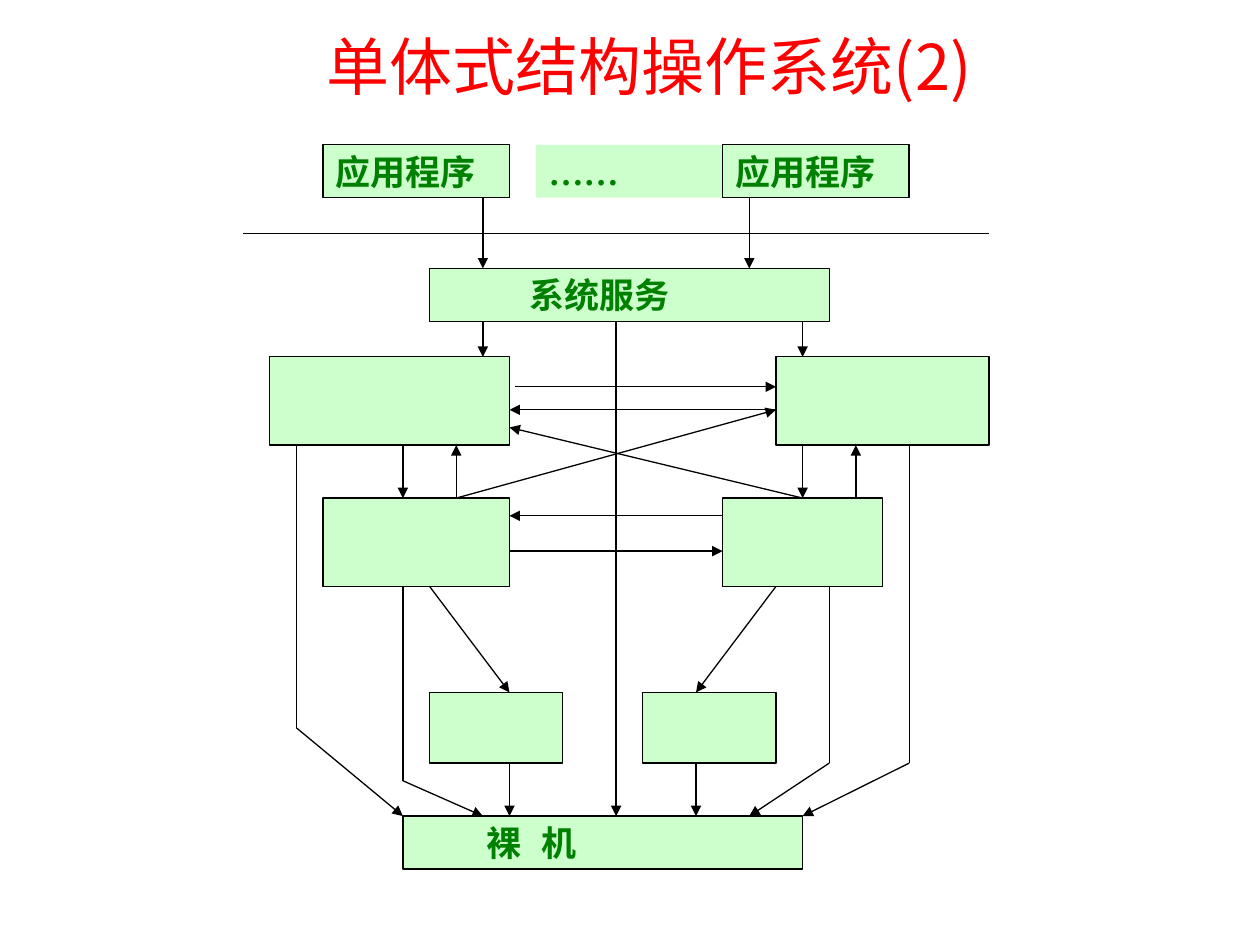
from itertools import pairwise

from lxml.etree import SubElement
from pptx import Presentation
from pptx.dml.color import RGBColor
from pptx.enum.shapes import MSO_CONNECTOR as Connector, MSO_SHAPE as Shape
from pptx.enum.text import MSO_ANCHOR as Anchor, PP_ALIGN as Align
from pptx.oxml.ns import qn
from pptx.util import Cm, Pt

LEFT, TOP = Cm(4.9), Cm(2.92)
COLUMN, ROW = Cm(15.04) / 28, Cm(14.6) / 41
INK, BOX_FILL, LABEL, HEADING = "000000", "CCFFCC", "008000", "FF0000"
TITLE_FONT = "Noto Sans CJK JP"
TITLE_FORMAT = {"name": TITLE_FONT, "size": Pt(36), "bold": False}
LABEL_FORMAT = {"name": "Times New Roman", "size": Pt(20), "bold": True}
FRAME_FORMAT = {
    "word_wrap": True,
    "vertical_anchor": Anchor.MIDDLE,
    "margin_left": Cm(0.25),
    "margin_right": Cm(0.25),
    "margin_top": Cm(0.13),
    "margin_bottom": Cm(0.13),
}

APPLICATIONS = [(3, 0, 7, 3, "应用程序"), (18, 0, 7, 3, "应用程序")]
MODULES = [
    (1, 12, 9, 5), (20, 12, 8, 5),
    (3, 20, 7, 5), (18, 20, 6, 5),
    (7, 31, 5, 4), (15, 31, 5, 4),
]
CALLS = [
    [(9, 3), (9, 7)], [(19, 3), (19, 7)],
    [(9, 10), (9, 12)], [(21, 10), (21, 12)], [(14, 10), (14, 38)],
    [(10.2, 13.7), (20, 13.7)], [(20, 15), (10, 15)],
    [(6, 17), (6, 20)], [(8, 20), (8, 17)],
    [(21, 17), (21, 20)], [(23, 20), (23, 17)],
    [(21, 20), (10, 16)], [(8, 20), (20, 15)],
    [(18, 21), (10, 21)], [(10, 23), (18, 23)],
    [(7, 25), (10, 31)], [(20, 25), (17, 31)],
    [(10, 35), (10, 38)], [(17, 35), (17, 38)],
    [(2, 17), (2, 33), (6, 38)], [(6, 25), (6, 36), (9, 38)],
    [(22, 25), (22, 35), (19, 38)], [(25, 17), (25, 35), (21, 38)],
]


def color(hex_value):
    """Turn a hex string into a colour."""
    return RGBColor.from_string(hex_value)


def position(column, row):
    """Return the slide position of a grid point."""
    return round(LEFT + column * COLUMN), round(TOP + row * ROW)


def apply(target, values):
    """Set each format value on the target."""
    for attribute, value in values.items():
        setattr(target, attribute, value)


def write_title(slide, wording):
    """Place and format the slide title."""
    title = slide.shapes.title
    apply(title, {"left": Cm(2.29), "top": Cm(0.36), "width": Cm(21.59), "height": Cm(1.93)})
    apply(title.text_frame, FRAME_FORMAT)
    paragraph = title.text_frame.paragraphs[0]
    paragraph.alignment = Align.CENTER
    run = paragraph.add_run()
    run.text = wording
    apply(run.font, TITLE_FORMAT)
    run.font.color.rgb = color(HEADING)
    SubElement(run.font._element, qn("a:ea"), typeface=TITLE_FONT)


def write_label(box, wording, indent, tab):
    """Write a box label with an optional first-line indent and tab stop."""
    apply(box.text_frame, FRAME_FORMAT)
    paragraph = box.text_frame.paragraphs[0]
    paragraph.alignment = Align.JUSTIFY
    properties = paragraph._p.get_or_add_pPr()
    properties.set("marL", "0")
    properties.set("indent", str(Cm(indent)))
    if tab:
        stops = SubElement(properties, qn("a:tabLst"))
        SubElement(stops, qn("a:tab"), pos=str(Cm(tab)), algn="l")
    run = paragraph.add_run()
    run.text = wording
    apply(run.font, LABEL_FORMAT)
    run.font.color.rgb = color(LABEL)


def add_box(slide, column, row, columns, rows, wording="", indent=0, tab=0, outlined=True):
    """Add a rectangle that spans grid cells."""
    size = round(columns * COLUMN), round(rows * ROW)
    box = slide.shapes.add_shape(Shape.RECTANGLE, *position(column, row), *size)
    box.shadow.inherit = False
    box.fill.solid()
    box.fill.fore_color.rgb = color(BOX_FILL)
    if outlined:
        box.line.color.rgb = color(INK)
        box.line.width = Pt(0.75)
    else:
        box.line.fill.background()
    if wording:
        write_label(box, wording, indent, tab)


def add_line(slide, start, end, arrow=False):
    """Add a straight line between two grid points."""
    line = slide.shapes.add_connector(Connector.STRAIGHT, *position(*start), *position(*end))
    line.line.color.rgb = color(INK)
    line.line.width = Pt(0.75)
    if arrow:
        SubElement(line.line._get_or_add_ln(), qn("a:tailEnd"), type="triangle")
    SubElement(line._element.spPr, qn("a:effectLst"))


def add_call(slide, points):
    """Add a route whose last segment ends in an arrowhead."""
    for start, end in pairwise(points):
        add_line(slide, start, end, arrow=end == points[-1])


def main():
    """Build the slide and save it."""
    deck = Presentation()
    deck.slide_width, deck.slide_height = Cm(25.4), Cm(19.05)
    slide = deck.slides.add_slide(deck.slide_layouts[5])
    write_title(slide, "单体式结构操作系统(2)")
    add_box(slide, 11, 0, 7, 3, "……", outlined=False)
    for box in APPLICATIONS + MODULES:
        add_box(slide, *box)
    add_box(slide, 7, 7, 15, 3, "系统服务", indent=1.77)
    add_box(slide, 6, 38, 15, 3, "裸\t机", indent=1.43, tab=3.91)
    add_line(slide, (0, 5), (28, 5))
    for points in CALLS:
        add_call(slide, points)
    deck.save("out.pptx")


if __name__ == "__main__":
    main()
